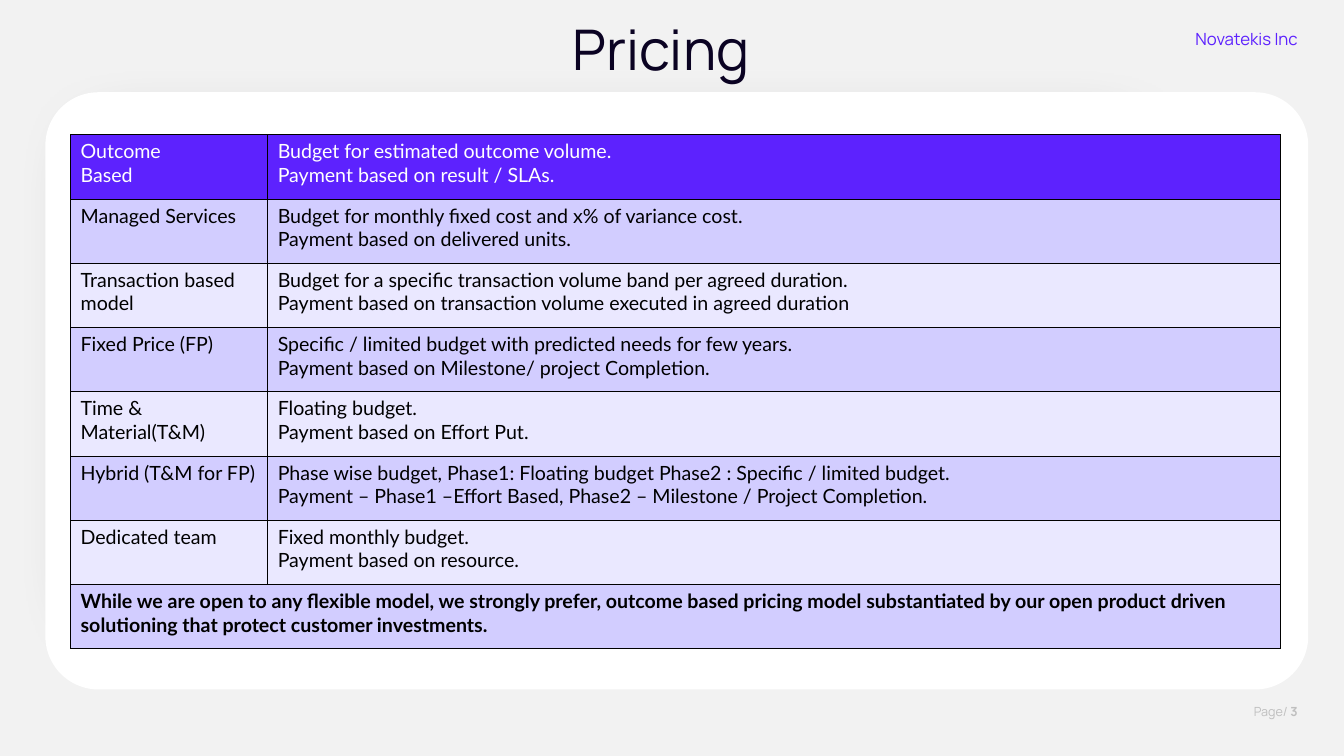
from typing import NamedTuple

from lxml import etree
from pptx import Presentation
from pptx.dml.color import RGBColor
from pptx.enum.shapes import MSO_SHAPE
from pptx.enum.text import PP_ALIGN
from pptx.oxml.ns import qn
from pptx.util import Inches, Pt

ROUNDED = MSO_SHAPE.ROUNDED_RECTANGLE
LEFT, CENTER, RIGHT = PP_ALIGN.LEFT, PP_ALIGN.CENTER, PP_ALIGN.RIGHT

COLORS = {
    "background": "F2F2F2",
    "panel": "FFFFFF",
    "accent": "5D22FE",
    "title": "0B0323",
    "footer": "BFBFBF",
    "band_dark": "D2CDFF",
    "band_light": "EAE8FF",
    "black": "000000",
    "white": "FFFFFF",
}
HEADING_FONT, TABLE_FONT = "Manrope", "Lato"


class PricingModel(NamedTuple):
    name: str
    terms: str


class Label(NamedTuple):
    box: tuple[float, float, float, float]
    text: str
    size: int
    color: str
    align: PP_ALIGN
    top_inset: float = 0.05
    bold_tail: str = ""


MODELS = [
    PricingModel("Outcome\nBased",
                 "Budget for estimated outcome volume.\nPayment based on result / SLAs."),
    PricingModel("Managed Services",
                 "Budget for monthly fixed cost and x% of variance cost.\n"
                 "Payment based on delivered units."),
    PricingModel("Transaction based model",
                 "Budget for a specific transaction volume band per agreed duration.\n"
                 "Payment based on transaction volume executed in agreed duration"),
    PricingModel("Fixed Price (FP)",
                 "Specific / limited budget with predicted needs for few years.\n"
                 "Payment based on Milestone/ project Completion."),
    PricingModel("Time & Material(T&M)",
                 "Floating budget.\nPayment based on Effort Put."),
    PricingModel("Hybrid (T&M for FP)",
                 "Phase wise budget, Phase1: Floating budget Phase2 : Specific / limited budget.\n"
                 "Payment – Phase1 –Effort Based, Phase2 – Milestone / Project Completion."),
    PricingModel("Dedicated team",
                 "Fixed monthly budget.\nPayment based on resource."),
]
PREFERENCE = ("While we are open to any flexible model, we strongly prefer, outcome based "
              "pricing model substantiated by our open product driven solutioning that "
              "protect customer investments.")

LABELS = [
    Label((21.05, 0.53, 4.79, 0.5), "Novatekis Inc", 24, "accent", RIGHT),
    Label((23.56, 13.91, 2.28, 0.4), "Page/ ", 18, "footer", RIGHT, bold_tail="3"),
    Label((9.33, 0.28, 7.57, 1.5), "Pricing", 80, "title", CENTER, top_inset=0),
]


def rgb(name: str) -> RGBColor:
    return RGBColor.from_string(COLORS[name])


def write_text(frame, text: str, *, size: int, color: str, font: str,
               align: PP_ALIGN = LEFT, bold: bool = False, bold_tail: str = "") -> None:
    """Write one paragraph per line, with an optional bold run at the end."""
    frame.word_wrap = True
    for index, line in enumerate(text.split("\n")):
        paragraph = frame.add_paragraph() if index else frame.paragraphs[0]
        paragraph.alignment = align
        runs = [(line, bold)] + ([(bold_tail, True)] if bold_tail else [])
        for words, is_bold in runs:
            run = paragraph.add_run()
            run.text = words
            run.font.size = Pt(size)
            run.font.name = font
            run.font.bold = is_bold
            run.font.color.rgb = rgb(color)


def add_label(slide, label: Label) -> None:
    frame = slide.shapes.add_textbox(*map(Inches, label.box)).text_frame
    frame.margin_top = Inches(label.top_inset)
    write_text(frame, label.text, size=label.size, color=label.color, font=HEADING_FONT,
               align=label.align, bold_tail=label.bold_tail)


def add_panel(slide) -> None:
    panel = slide.shapes.add_shape(ROUNDED, Inches(0.9), Inches(1.83),
                                   Inches(25.05), Inches(11.85))
    panel.adjustments[0] = 0.089
    panel.fill.solid()
    panel.fill.fore_color.rgb = rgb("panel")
    panel.line.fill.background()
    panel.shadow.inherit = False
    # Soft shadow, scaled down from the top left corner
    effects = panel._element.spPr.find(qn("a:effectLst"))
    shadow = etree.SubElement(effects, qn("a:outerShdw"), blurRad=str(Pt(85)),
                              dist=str(Pt(60)), dir=str(45 * 60000),
                              sx="85000", sy="85000", algn="tl", rotWithShape="0")
    shade = etree.SubElement(shadow, qn("a:srgbClr"), val=COLORS["black"])
    etree.SubElement(shade, qn("a:alpha"), val="15000")


def style_cell(cell, fill: str) -> None:
    cell.margin_left = cell.margin_right = Inches(0.2)
    cell.margin_top = cell.margin_bottom = Inches(0.1)
    properties = cell._tc.get_or_add_tcPr()
    for side in ("lnL", "lnR", "lnT", "lnB"):
        border = etree.SubElement(properties, qn(f"a:{side}"), w=str(Pt(1)))
        paint = etree.SubElement(border, qn("a:solidFill"))
        etree.SubElement(paint, qn("a:srgbClr"), val=COLORS["black"])
    cell.fill.solid()
    cell.fill.fore_color.rgb = rgb(fill)


def add_pricing_table(slide) -> None:
    row_count = len(MODELS) + 1
    table = slide.shapes.add_table(row_count, 2, Inches(1.4), Inches(2.67),
                                   Inches(23.99), Inches(10.2)).table
    table.first_row = table.horz_banding = False
    table.columns[0].width, table.columns[1].width = Inches(3.91), Inches(20.08)

    # Accent row first, then alternating bands
    for row in range(row_count):
        fill = "accent" if row == 0 else "band_dark" if row % 2 else "band_light"
        for column in range(2):
            style_cell(table.cell(row, column), fill)

    for row, model in enumerate(MODELS):
        for column, text in enumerate(model):
            write_text(table.cell(row, column).text_frame, text, size=28, font=TABLE_FONT,
                       color="black" if row else "white")

    # Closing statement across both columns
    closing = table.cell(row_count - 1, 0)
    closing.merge(table.cell(row_count - 1, 1))
    write_text(closing.text_frame, PREFERENCE, size=28, color="black",
               font=TABLE_FONT, bold=True)


def main() -> None:
    deck = Presentation()
    deck.slide_width, deck.slide_height = Inches(26.66), Inches(15)
    slide = deck.slides.add_slide(deck.slide_layouts[6])
    slide.background.fill.solid()
    slide.background.fill.fore_color.rgb = rgb("background")

    for label in LABELS:
        add_label(slide, label)
    add_panel(slide)
    add_pricing_table(slide)
    deck.save("out.pptx")


if __name__ == "__main__":
    main()
